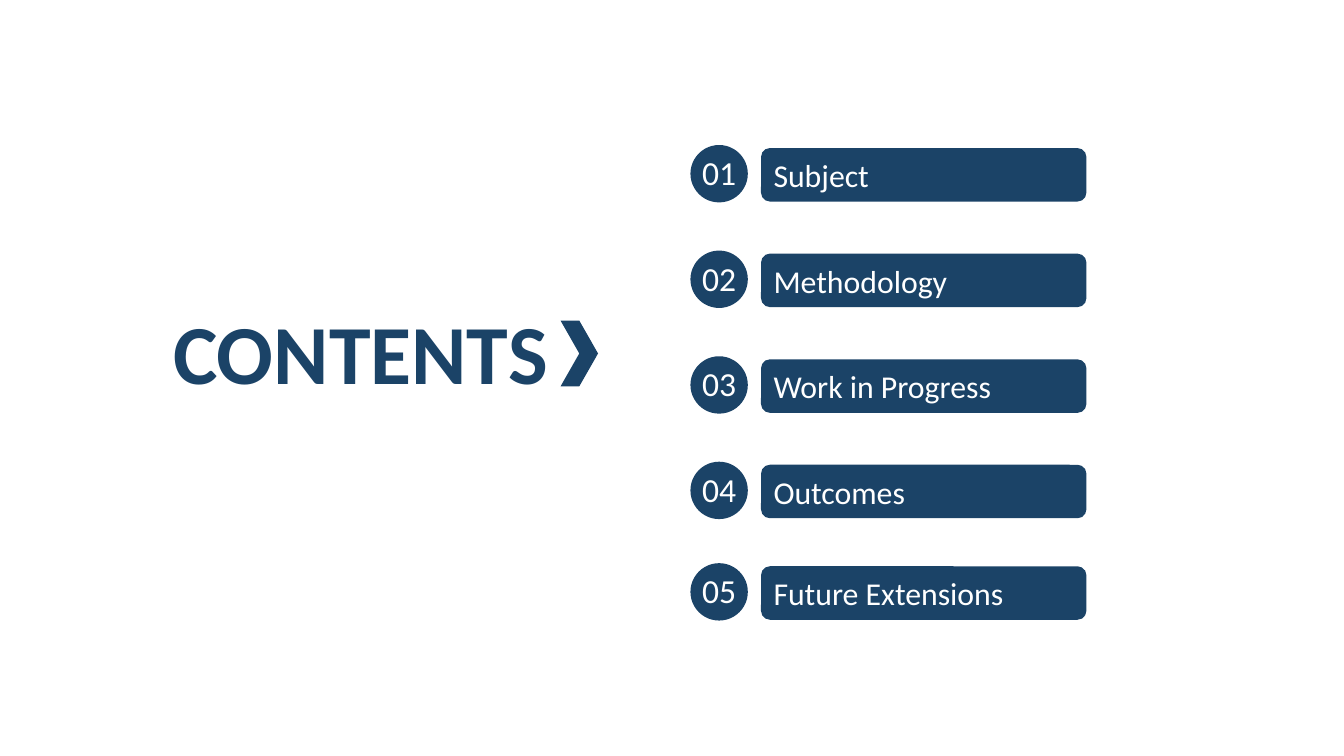
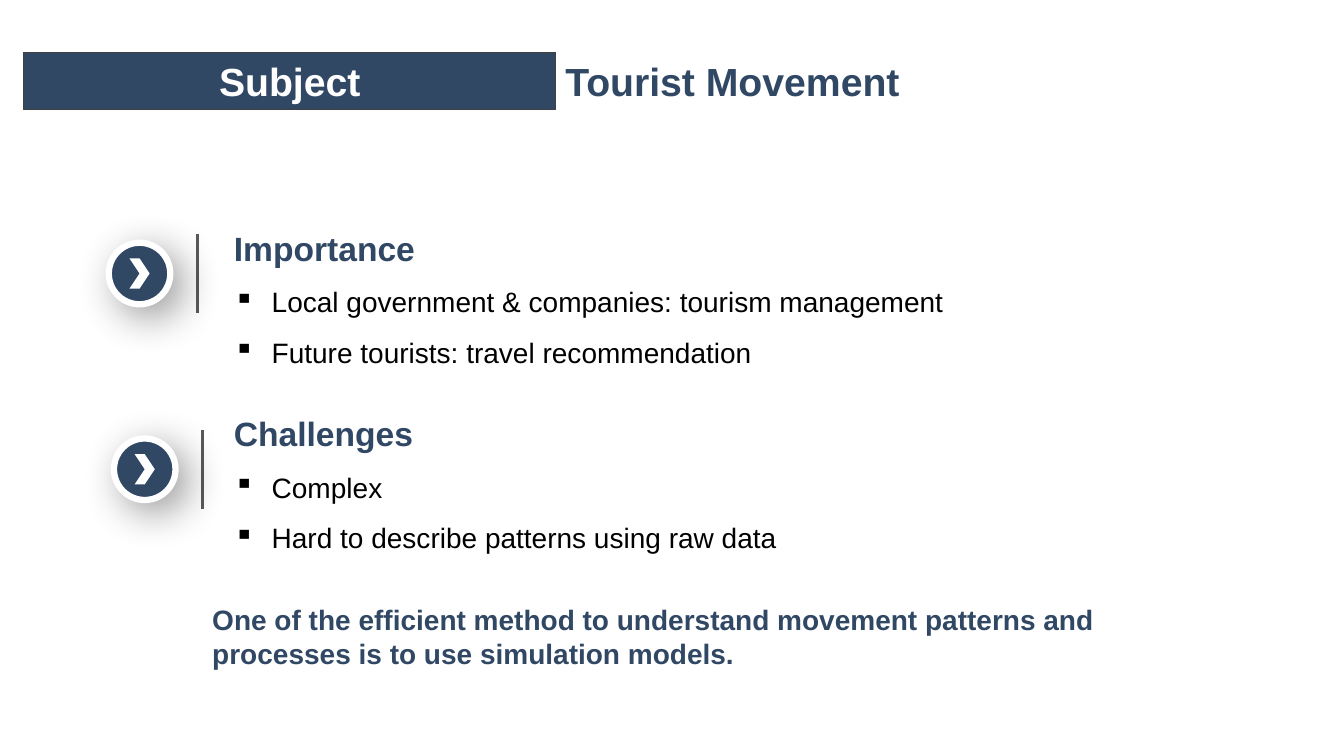
from lxml import etree
from pptx import Presentation
from pptx.dml.color import RGBColor
from pptx.enum.shapes import MSO_CONNECTOR, MSO_SHAPE
from pptx.enum.text import MSO_ANCHOR, PP_ALIGN
from pptx.oxml.ns import qn
from pptx.util import Pt

RECT, ROUND = MSO_SHAPE.RECTANGLE, MSO_SHAPE.ROUNDED_RECTANGLE
OVAL, CHEVRON = MSO_SHAPE.OVAL, MSO_SHAPE.CHEVRON
STRAIGHT = MSO_CONNECTOR.STRAIGHT
TOP, MIDDLE = MSO_ANCHOR.TOP, MSO_ANCHOR.MIDDLE
LEFT, CENTER = PP_ALIGN.LEFT, PP_ALIGN.CENTER

BLUE, SLATE, WHITE, BLACK = "1B4367", "314865", "FFFFFF", "000000"
BORDER, RULE = "404040", "595959"

MENU = dict(name="Calibri", size=22.7, color=WHITE)
NUMBER = dict(MENU, size=24)
CONTENTS = dict(name="Calibri", size=60, bold=True, color=BLUE)
TITLE = dict(name="Arial", size=28, bold=True, color=SLATE)
TITLE_BAR = dict(TITLE, color=WHITE)
HEADING = dict(TITLE, size=24)
REMARK = dict(TITLE, size=20)
BODY = dict(name="Arial", size=20, bold=False, color=BLACK)


def rgb(value):
    return RGBColor.from_string(value)


class Deck:
    def __init__(self, width, height):
        self.prs = Presentation()
        self.prs.slide_width, self.prs.slide_height = Pt(width), Pt(height)
        self.s = None

    def new_slide(self):
        self.s = self.prs.slides.add_slide(self.prs.slide_layouts[6])

    def add_run(self, p, text, style):
        r = p.add_run()
        r.text = text
        for key, value in style.items():
            if key == "color":
                r.font.color.rgb = rgb(value)
            else:
                setattr(r.font, key, Pt(value) if key == "size" else value)

    def shape(self, kind, x, y, w, h, fill, line=None, weight=0.75):
        sp = self.s.shapes.add_shape(kind, Pt(x), Pt(y), Pt(w), Pt(h))
        sp.shadow.inherit = False
        sp.fill.solid()
        sp.fill.fore_color.rgb = rgb(fill)
        if line:
            sp.line.color.rgb = rgb(line)
            sp.line.width = Pt(weight)
        else:
            sp.line.fill.background()
        return sp

    def label(self, sp, text, style, align=CENTER, **frame):
        """Put one line of text into a shape."""
        tf = sp.text_frame
        for key, value in dict(vertical_anchor=MIDDLE, **frame).items():
            setattr(tf, key, value)
        p = tf.paragraphs[0]
        p.alignment = align
        self.add_run(p, text, style)

    def text(self, x, y, w, h, text, style):
        """Add a wrapping text box and return its frame."""
        tf = self.s.shapes.add_textbox(Pt(x), Pt(y), Pt(w), Pt(h)).text_frame
        tf.word_wrap, tf.vertical_anchor = True, TOP
        self.add_run(tf.paragraphs[0], text, style)
        return tf

    def bullet(self, tf, text, indent=27):
        p = tf.add_paragraph()
        pPr = p._p.get_or_add_pPr()
        pPr.set("marL", str(Pt(indent)))
        pPr.set("indent", str(-Pt(indent)))
        etree.SubElement(pPr, qn("a:buChar"), char="▪")
        self.add_run(p, text, BODY)

    def rule(self, x, top, bottom):
        line = self.s.shapes.add_connector(STRAIGHT, Pt(x), Pt(top), Pt(x), Pt(bottom))
        line.line.color.rgb = rgb(RULE)
        line.line.width = Pt(2.25)
        etree.SubElement(line._element.spPr, qn("a:effectLst"))

    def soft_shadow(self, sp):
        effects = sp._element.spPr.find(qn("a:effectLst"))
        shadow = etree.SubElement(effects, qn("a:outerShdw"), blurRad=str(Pt(30)),
                                  dist=str(Pt(10)), dir=str(45 * 60000),
                                  algn="tl", rotWithShape="0")
        color = etree.SubElement(shadow, qn("a:srgbClr"), val=BLACK)
        etree.SubElement(color, qn("a:alpha"), val="40000")

    def badge(self, x, y, size=44, w=14.4, h=21.6):
        """Add a shadowed circle with a centred chevron and a rule to its right."""
        self.rule(x + 63.4, y - 6.4, y + 50.5)
        self.soft_shadow(self.shape(OVAL, x, y, size, size, SLATE, WHITE, 4.5))
        self.shape(CHEVRON, x + (size - w) / 2, y + (size - h) / 2, w, h, WHITE)

    def menu_item(self, y, number, text):
        bar = self.shape(ROUND, 543.6, y, 232.4, 38.2, BLUE)
        self.label(bar, text, MENU, LEFT)
        circle = self.shape(OVAL, 493.2, y - 2.2, 41, 41, BLUE)
        self.label(circle, f"{number:02}", NUMBER, word_wrap=False, margin_left=0,
                   margin_right=0, margin_top=0, margin_bottom=Pt(2))

    def topic(self, y, heading, points, badge_at):
        tf = self.text(160, y, 529, 124, heading, HEADING)
        for point in points:
            self.bullet(tf, point)
        for p in tf.paragraphs:
            p.line_spacing = 1.5
        self.badge(*badge_at)

    def header(self, section, title):
        bar = self.shape(RECT, 17, 37.2, 380, 41.2, SLATE, BORDER)
        self.label(bar, section, TITLE_BAR)
        self.text(396.7, 37.2, 270, 41.2, title, TITLE)


def contents_slide(deck):
    deck.new_slide()
    deck.text(116.6, 211, 361, 151, "CONTENTS", CONTENTS)
    deck.shape(CHEVRON, 400.4, 229, 26.8, 47, BLUE)
    items = {"Subject": 105.8, "Methodology": 181.2, "Work in Progress": 256.7,
             "Outcomes": 332, "Future Extensions": 404.5}
    for number, (text, y) in enumerate(items.items(), 1):
        deck.menu_item(y, number, text)


def subject_slide(deck):
    deck.new_slide()
    deck.header("Subject", "Tourist Movement")
    deck.topic(144.7, "Importance",
               ["Local government & companies: tourism management",
                "Future tourists: travel recommendation"], (77.7, 173.4))
    deck.topic(277.2, "Challenges",
               ["Complex", "Hard to describe patterns using raw data"], (81.4, 313.2))
    deck.text(144.5, 427, 646.5, 55.7,
              "One of the efficient method to understand movement patterns and "
              "processes is to use simulation models.", REMARK)


def main():
    deck = Deck(960, 540)
    contents_slide(deck)
    subject_slide(deck)
    deck.prs.save("out.pptx")


if __name__ == "__main__":
    main()
